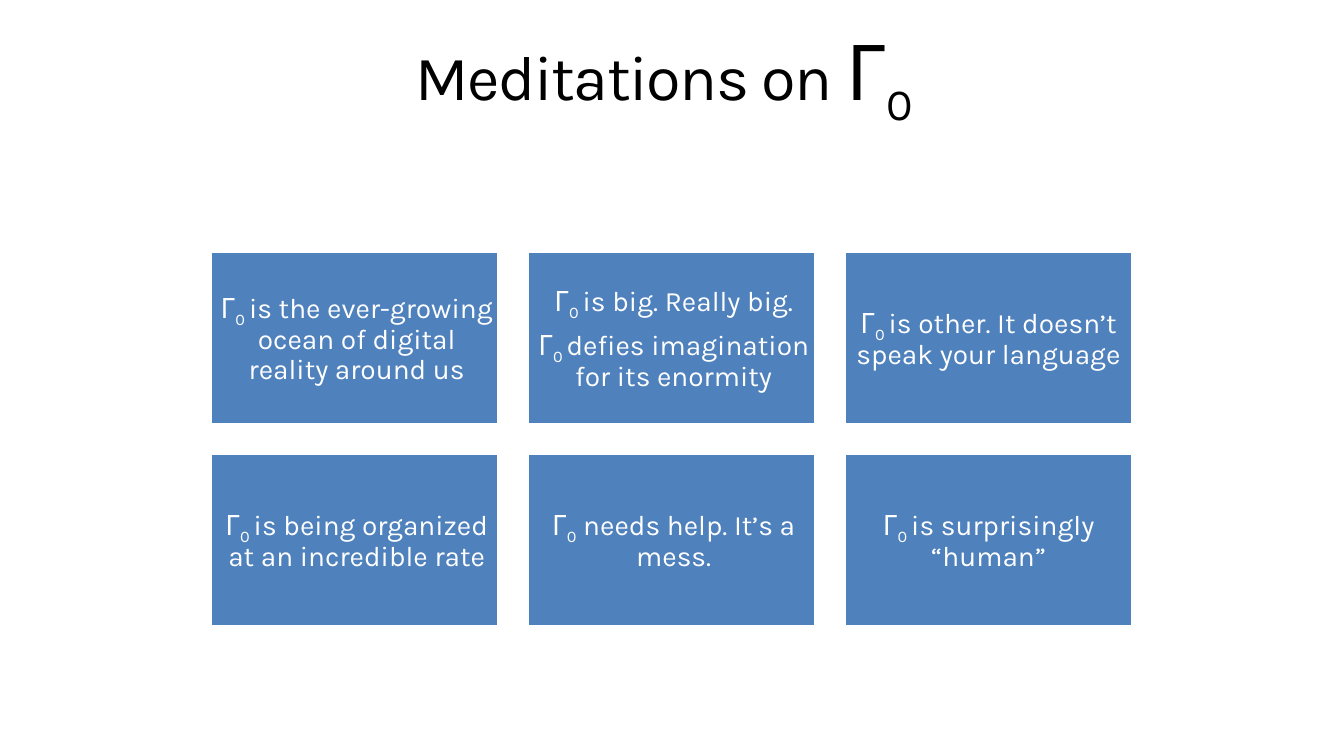
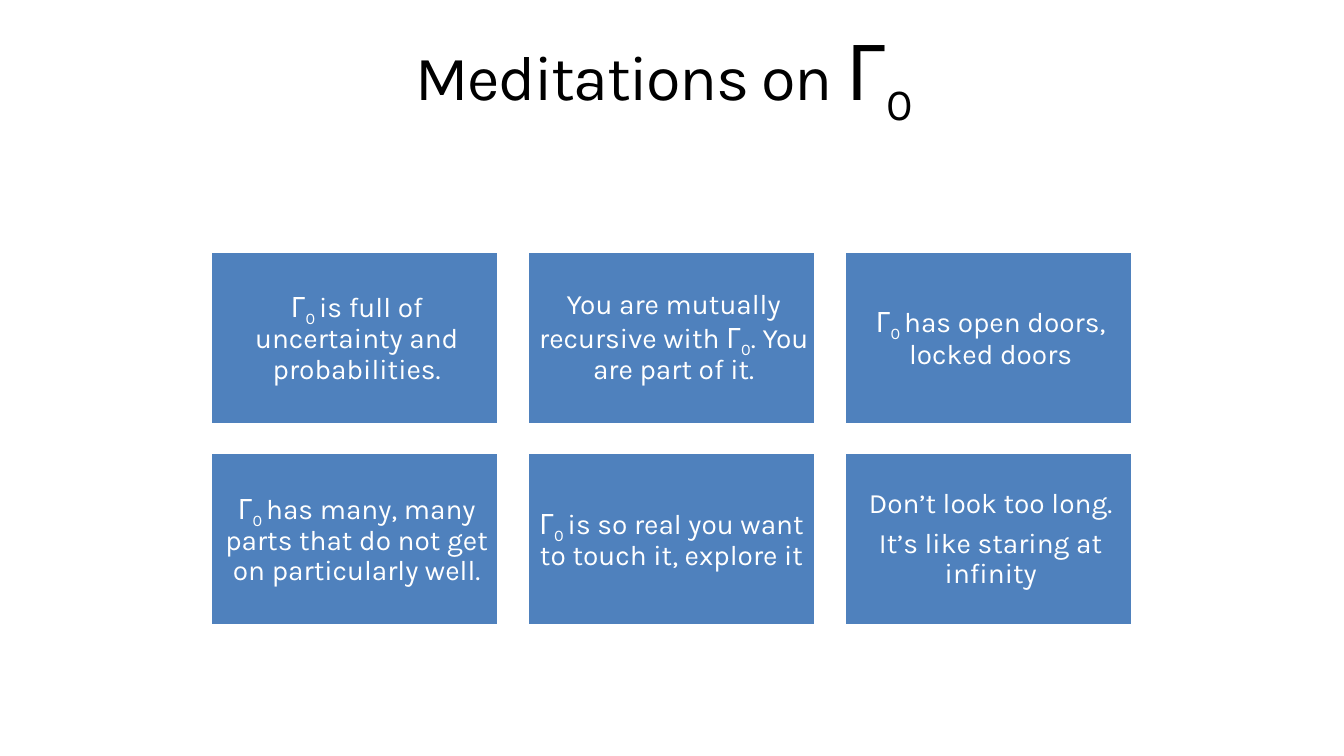
from dataclasses import dataclass

from pptx import Presentation
from pptx.dml.color import RGBColor
from pptx.enum.shapes import MSO_SHAPE
from pptx.enum.text import MSO_ANCHOR, MSO_AUTO_SIZE, PP_ALIGN
from pptx.util import Pt

FONT = "Karla"
BLACK, WHITE, BLUE = "000000", "FFFFFF", "4F81BD"
LEFT, CARD_W, CARD_H = 150.5, 205.8, 123.5
PITCH_X, PITCH_Y, COLS = 226.4, 144, 3


@dataclass
class Card:
    paras: list[str]
    even: bool = False


@dataclass
class Page:
    top: float
    cards: list[Card]


PAGES = [
    Page(180, [
        Card(["Γ|0 |is the ever-growing ocean of digital reality around us"]),
        Card(["Γ|0 |is big. Really big.", "Γ|0 |defies imagination for its enormity"]),
        Card(["Γ|0 |is other. It doesn’t speak your language"], even=True),
        Card(["Γ|0 |is being organized at an incredible rate"]),
        Card(["Γ|0| needs help. It’s a mess."]),
        Card(["Γ|0 |is surprisingly “human”"], even=True),
    ]),
    Page(179.5, [
        Card(["Γ|0 |is full of uncertainty and probabilities."]),
        Card(["You are mutually recursive with Γ|0|. You are part of it."]),
        Card(["Γ|0 |has open doors, locked doors"]),
        Card(["Γ|0 |has many, many parts that do not get on particularly well."]),
        Card(["Γ|0 |is so real you want to touch it, explore it"], even=True),
        Card(["Don’t look too long.", "It’s like staring at infinity"]),
    ]),
]


def rgb(color: str) -> RGBColor:
    return RGBColor.from_string(color)


def add_run(p, text: str, *, size: float, color: str, sub: bool = False, spacing: float = 0) -> None:
    r = p.add_run()
    r.text = text
    r.font.name, r.font.size = FONT, Pt(size)
    r.font.color.rgb = rgb(color)
    rPr = r._r.get_or_add_rPr()
    if sub:
        rPr.set("baseline", "-25000")
    if spacing:
        rPr.set("spc", str(round(spacing * 100)))


def set_frame(tf, anchor: MSO_ANCHOR, left: float, top: float, right: float, bottom: float) -> None:
    tf.word_wrap = True
    tf.vertical_anchor = anchor
    tf.margin_left, tf.margin_top = Pt(left), Pt(top)
    tf.margin_right, tf.margin_bottom = Pt(right), Pt(bottom)


def set_para(p, after: float = 0) -> None:
    p.alignment = PP_ALIGN.CENTER
    p.line_spacing = 0.9
    p.space_before, p.space_after = Pt(0), Pt(after)


def add_title(s) -> None:
    sp = s.shapes.title
    sp.left, sp.top, sp.width, sp.height = Pt(LEFT), Pt(18), Pt(658.6), Pt(60)
    tf = sp.text_frame
    set_frame(tf, MSO_ANCHOR.TOP, 0, 0, 0, 0)
    tf.auto_size = MSO_AUTO_SIZE.SHAPE_TO_FIT_TEXT
    p = tf.paragraphs[0]
    set_para(p)
    add_run(p, "Meditations on ", size=45, color=BLACK, spacing=-1)
    add_run(p, "Γ", size=55, color=BLACK, spacing=-1)
    add_run(p, "0", size=55, color=BLACK, sub=True, spacing=-1)
    add_run(p, " ", size=45, color=BLACK, spacing=-1)


def add_card(s, card: Card, x: float, y: float) -> None:
    sp = s.shapes.add_shape(MSO_SHAPE.RECTANGLE, Pt(x), Pt(y), Pt(CARD_W), Pt(CARD_H))
    sp.shadow.inherit = False
    sp.fill.solid()
    sp.fill.fore_color.rgb = rgb(BLUE)
    sp.line.color.rgb = rgb(WHITE)
    sp.line.width = Pt(2)
    tf = sp.text_frame
    left, right = (6, 6) if card.even else (3, 0)
    set_frame(tf, MSO_ANCHOR.MIDDLE, left, 6, right, 6)
    for i, text in enumerate(card.paras):
        p = tf.add_paragraph() if i else tf.paragraphs[0]
        set_para(p, after=7)
        for j, part in enumerate(text.split("|")):
            add_run(p, part, size=20, color=WHITE, sub=j % 2 == 1)


def main() -> None:
    prs = Presentation()
    prs.slide_width, prs.slide_height = Pt(960), Pt(540)
    for page in PAGES:
        s = prs.slides.add_slide(prs.slide_layouts[5])
        add_title(s)
        for i, card in enumerate(page.cards):
            row, col = divmod(i, COLS)
            add_card(s, card, LEFT + col * PITCH_X, page.top + row * PITCH_Y)
    prs.save("out.pptx")


if __name__ == "__main__":
    main()
